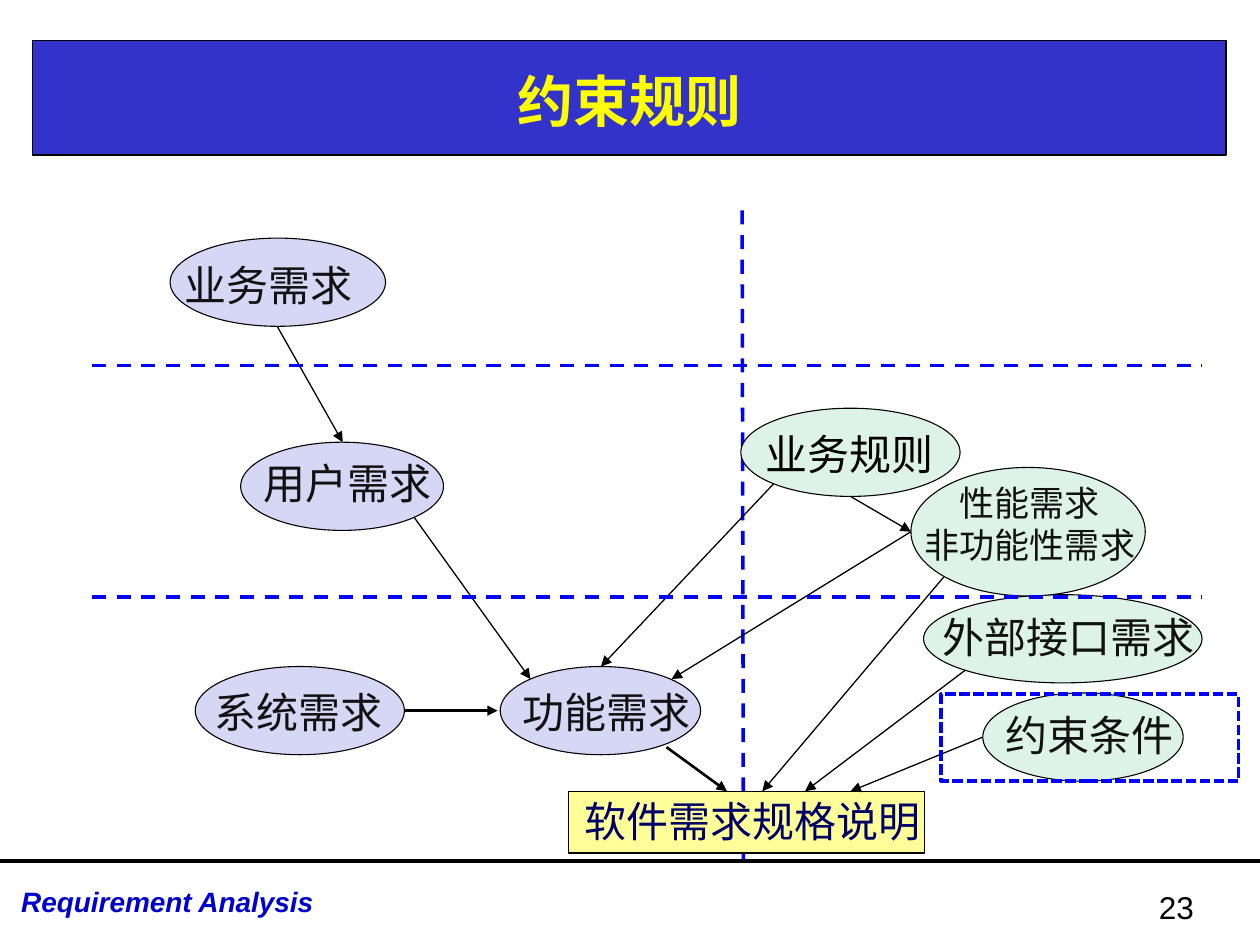
from dataclasses import dataclass

from lxml.etree import SubElement
from pptx import Presentation
from pptx.dml.color import RGBColor
from pptx.enum.dml import MSO_LINE
from pptx.enum.shapes import MSO_CONNECTOR, MSO_SHAPE
from pptx.enum.text import MSO_ANCHOR, PP_ALIGN
from pptx.oxml.ns import qn
from pptx.util import Inches, Pt


@dataclass(frozen=True)
class Theme:
    banner: str = "3333CC"
    title: str = "FFFF00"
    footer: str = "0000CC"
    divider: str = "0000FF"
    black: str = "000000"
    ink: str = "111111"
    lavender: str = "D6D6F5"
    mint: str = "DDF3EA"
    yellow: str = "FFFF99"
    navy: str = "000066"
    chinese: str = "Noto Sans CJK SC"
    latin: str = "Arial"
    accent: str = "Cabin"
    title_size: int = 32
    label_size: int = 24
    small_size: int = 20
    number_size: int = 18
    footer_size: int = 16


theme = Theme()


def add_run(para, text, size, color, font=theme.chinese, bold=False, italic=False):
    span = para.add_run()
    span.text = text
    span.font.size = Pt(size)
    span.font.color.rgb = RGBColor.from_string(color)
    span.font.name = font
    span.font.bold = bold
    span.font.italic = italic
    east_asian = SubElement(span.font._element, qn("a:ea"))
    east_asian.set("typeface", theme.chinese)


def add_line(start, end, color, width, dashed=False, arrow=False):
    points = [Inches(value) for value in (*start, *end)]
    line = slide.shapes.add_connector(MSO_CONNECTOR.STRAIGHT, *points)
    line.line.color.rgb = RGBColor.from_string(color)
    line.line.width = Pt(width)
    if dashed:
        line.line.dash_style = MSO_LINE.DASH
    properties = line._element.spPr
    if arrow:
        SubElement(properties.find(qn("a:ln")), qn("a:tailEnd")).set("type", "triangle")
    SubElement(properties, qn("a:effectLst"))


deck = Presentation()
deck.slide_width = Inches(10)
deck.slide_height = Inches(7.5)
slide = deck.slides.add_slide(deck.slide_layouts[5])

title = slide.shapes.title
title.left, title.top = Inches(0.26), Inches(0.32)
title.width, title.height = Inches(9.47), Inches(0.91)
title.fill.solid()
title.fill.fore_color.rgb = RGBColor.from_string(theme.banner)
title.line.color.rgb = RGBColor.from_string(theme.black)
title.line.width = Pt(0.75)
title.text_frame.vertical_anchor = MSO_ANCHOR.MIDDLE
title.text_frame.margin_top = Inches(0.09)
para = title.text_frame.paragraphs[0]
para.alignment = PP_ALIGN.CENTER
add_run(para, "约束规则", theme.title_size, theme.title, bold=True)

add_line((0, 6.83), (10, 6.83), theme.black, 2.25)

footers = [
    ((0.07, 6.97, 2.91, 0.37), "Requirement Analysis", theme.footer_size, theme.footer, True),
    ((9.1, 7, 0.67, 0.5), "23", theme.number_size, theme.black, False),
]
for place, text, size, color, strong in footers:
    box = slide.shapes.add_textbox(*[Inches(value) for value in place])
    box.text_frame.word_wrap = True
    add_run(box.text_frame.paragraphs[0], text, size, color, theme.latin, strong, strong)

add_line((5.89, 1.67), (5.9, 6.82), theme.divider, 2, dashed=True)

ellipse, rectangle = MSO_SHAPE.OVAL, MSO_SHAPE.RECTANGLE
chinese, accent = theme.chinese, theme.accent
large, small = theme.label_size, theme.small_size
nodes = [
    (ellipse, (1.35, 1.89, 1.71, 0.7), theme.lavender, (1.22, 2.06, 1.82, 0.4),
     [[("业务需求", chinese)]], large, theme.ink),
    (ellipse, (5.88, 3.24, 1.74, 0.7), theme.mint, (5.73, 3.4, 2.03, 0.4),
     [[("业务规则", chinese)]], large, theme.black),
    (ellipse, (3.97, 5.29, 1.59, 0.7), theme.lavender, (3.74, 5.45, 2.15, 0.4),
     [[("功能需求", chinese)]], large, theme.ink),
    (ellipse, (1.55, 5.29, 1.66, 0.7), theme.lavender, (1.3, 5.45, 2.14, 0.4),
     [[("系统需求", chinese)]], large, theme.ink),
    (rectangle, (4.51, 6.28, 2.83, 0.49), theme.yellow, (4.28, 6.31, 3.38, 0.4),
     [[("软件需求规格说明", chinese)]], large, theme.navy),
    (ellipse, (7.33, 4.72, 2.21, 0.7), theme.mint, (7.22, 4.85, 2.52, 0.4),
     [[("外部接口", accent), ("需求", chinese)]], large, theme.ink),
    (ellipse, (1.91, 3.51, 1.61, 0.7), theme.lavender, (1.69, 3.63, 2.14, 0.4),
     [[("用户需求", chinese)]], large, theme.ink),
    (ellipse, (7.8, 5.5, 1.59, 0.7), theme.mint, (7.56, 5.63, 2.18, 0.4),
     [[("约束条件", chinese)]], large, theme.ink),
    (ellipse, (7.23, 3.71, 1.86, 1.02), theme.mint, (6.91, 3.87, 2.53, 0.64),
     [[("性能需求", chinese)], [("非功能性需求", chinese)]], small, theme.ink),
]
for kind, place, fill, label_place, lines, size, color in nodes:
    node = slide.shapes.add_shape(kind, *[Inches(value) for value in place])
    node.shadow.inherit = False
    node.fill.solid()
    node.fill.fore_color.rgb = RGBColor.from_string(fill)
    node.line.color.rgb = RGBColor.from_string(theme.black)
    node.line.width = Pt(0.63)

    label = slide.shapes.add_textbox(*[Inches(value) for value in label_place])
    frame = label.text_frame
    frame.word_wrap = True
    frame.margin_left = frame.margin_right = frame.margin_top = frame.margin_bottom = 0
    for index, pieces in enumerate(lines):
        para = frame.add_paragraph() if index else frame.paragraphs[0]
        para.alignment = PP_ALIGN.CENTER
        if index:
            para.space_before = Pt(size * 0.2)
        if len(lines) > 1:
            para.line_spacing = 0.85
        for text, font in pieces:
            add_run(para, text, size, color, font)

arrows = [
    ((3.21, 5.64), (3.95, 5.64), 1.5),
    ((5.29, 5.93), (5.77, 6.28), 1.5),
    ((3.29, 4.11), (4.21, 5.39), 0.75),
    ((2.2, 2.59), (2.72, 3.51), 0.75),
    ((6.14, 3.84), (4.77, 5.29), 0.75),
    ((6.75, 3.94), (7.23, 4.22), 0.75),
    ((7.23, 4.22), (5.33, 5.39), 0.75),
    ((7.49, 4.58), (6.05, 6.28), 0.75),
    ((7.66, 5.32), (6.39, 6.28), 0.75),
    ((7.8, 5.85), (6.75, 6.28), 0.75),
]
for start, end, width in arrows:
    add_line(start, end, theme.black, width, arrow=True)

for level in (2.9, 4.74):
    add_line((0.73, level), (9.54, level), theme.divider, 2, dashed=True)

highlight = slide.shapes.add_shape(
    MSO_SHAPE.RECTANGLE, Inches(7.47), Inches(5.51), Inches(2.36), Inches(0.69))
highlight.shadow.inherit = False
highlight.fill.background()
highlight.line.color.rgb = RGBColor.from_string(theme.divider)
highlight.line.width = Pt(2)
highlight.line.dash_style = MSO_LINE.SQUARE_DOT

deck.save("out.pptx")
